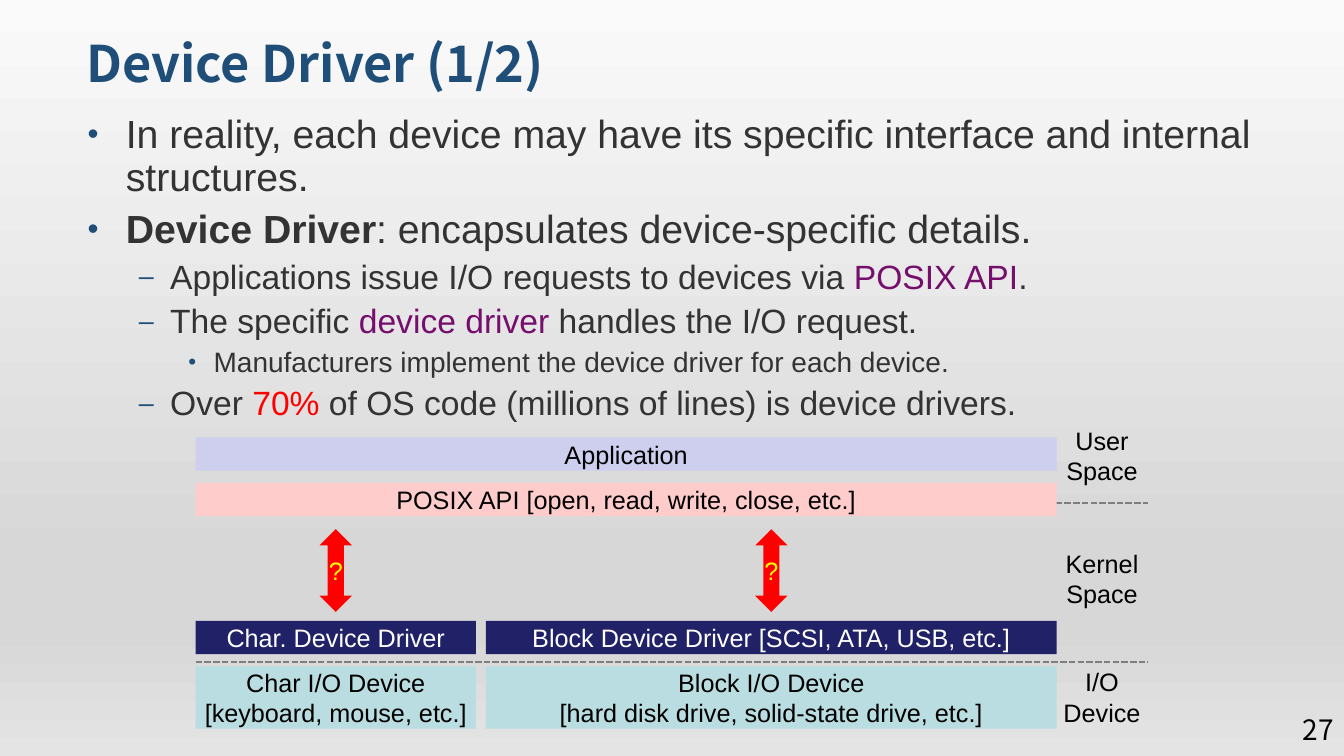
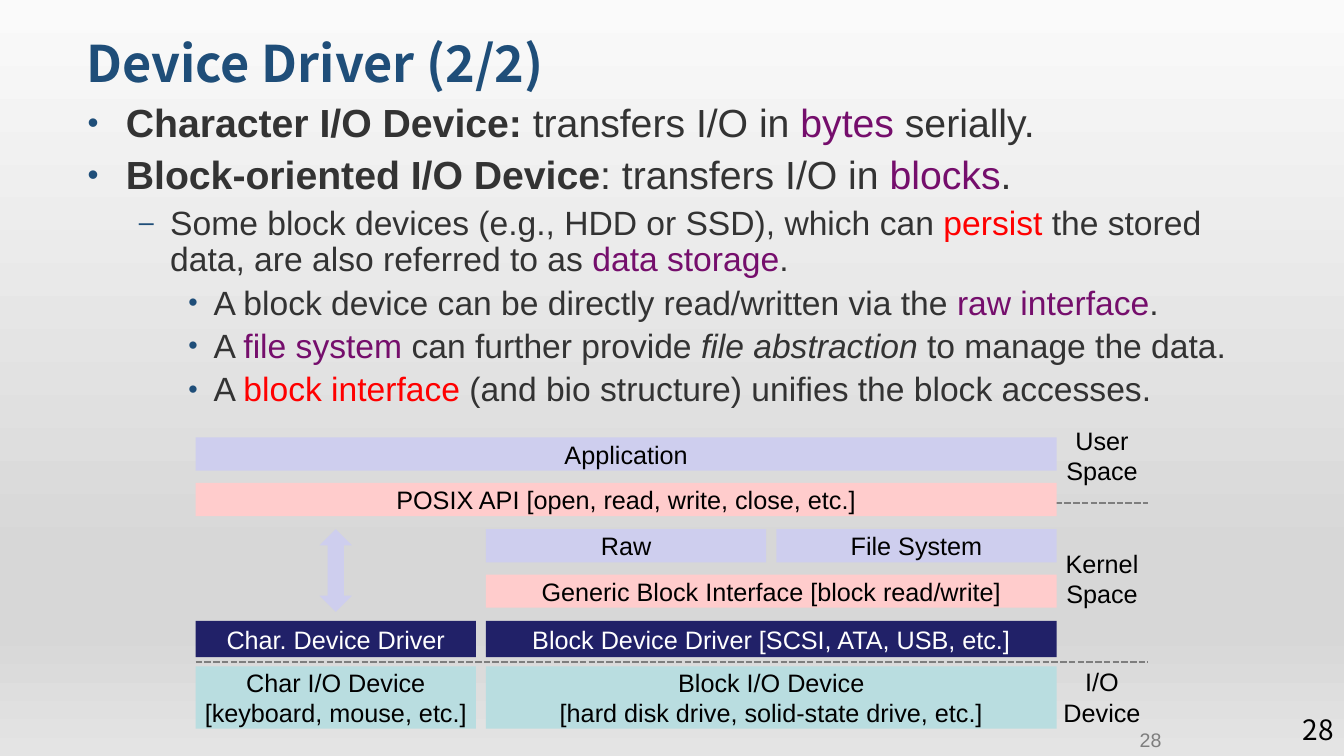
from lxml import etree
from pptx import Presentation
from pptx.dml.color import RGBColor
from pptx.enum.dml import MSO_LINE
from pptx.enum.shapes import MSO_CONNECTOR, MSO_SHAPE
from pptx.enum.text import MSO_ANCHOR, PP_ALIGN
from pptx.oxml.ns import qn
from pptx.util import Inches, Pt

RECT, ARROW = MSO_SHAPE.RECTANGLE, MSO_SHAPE.UP_DOWN_ARROW
STRAIGHT, DASHED = MSO_CONNECTOR.STRAIGHT, MSO_LINE.SQUARE_DOT
LEFT, CENTER, RIGHT = PP_ALIGN.LEFT, PP_ALIGN.CENTER, PP_ALIGN.RIGHT
MIDDLE, BOTTOM = MSO_ANCHOR.MIDDLE, MSO_ANCHOR.BOTTOM

COLORS = {
    "title": "1F4E79", "body": "333333", "term": "750E6C", "alert": "FF0000",
    "black": "000000", "white": "FFFFFF", "yellow": "FFFF00", "gray": "7E7E7E",
    "lilac": "CECEEE", "pink": "FFCCCC", "navy": "212168", "teal": "B9DDE0",
}
BACKGROUND = [(0, "FAFAFA"), (74, "D7D7D7"), (83, "D7D7D7"), (100, "E4E4E4")]
BODY_FONT, TITLE_FONT = "Arial", "Noto Sans CJK TC"

# Run styles and bullet levels of the body text
STYLES = {
    "plain": {},
    "bold": {"bold": True},
    "italic": {"italic": True},
    "term": {"color": "term"},
    "alert": {"color": "alert"},
}
LEVELS = [
    {"char": "•", "indent": 0.39, "hang": 0.38, "before": 7},
    {"char": "–", "indent": 0.83, "hang": 0.31, "before": 6},
    {"char": "•", "indent": 1.26, "hang": 0.25, "before": 5},
]

# Diagram grid: three equal columns, six rows
COL_LEFT, COL_WIDTH, COL_GAP = 1.94, 2.78, 0.1
ROWS = [4.34, 4.79, 5.25, 5.7, 6.16, 6.61]
ROW_HEIGHT, DEVICE_HEIGHT = 0.33, 0.62

# Blocks: row, first column, columns spanned, text, fill, text colour, height
SHARED_BLOCKS = [
    (0, 0, 3, "Application", "lilac", "black", ROW_HEIGHT),
    (1, 0, 3, "POSIX API [open, read, write, close, etc.]", "pink", "black", ROW_HEIGHT),
    (5, 0, 1, "Char I/O Device\n[keyboard, mouse, etc.]", "teal", "black", DEVICE_HEIGHT),
    (5, 1, 2, "Block I/O Device\n[hard disk drive, solid-state drive, etc.]", "teal",
     "black", DEVICE_HEIGHT),
]
DRIVERS = [(0, 1, "Char. Device Driver"),
           (1, 2, "Block Device Driver [SCSI, ATA, USB, etc.]")]
SIDE_LABELS = [(4.2, "User\nSpace"), (5.42, "Kernel\nSpace"), (6.6, "I/O\nDevice")]
DASHED_LINES = [(1.94, 6.57), (10.47, 4.99)]
DASHED_END = 11.39

SLIDES = [
    {
        "title": "Device Driver (1/2)", "number": "27", "body_top": 1.09,
        "sizes": [28, 24, 20], "driver_height": 0.33,
        "body": [
            (0, [("In reality, each device may have its specific interface "
                  "and internal structures.", "plain")]),
            (0, [("Device Driver", "bold"),
                 (": encapsulates device-specific details.", "plain")]),
            (1, [("Applications issue I/O requests to devices via ", "plain"),
                 ("POSIX API", "term"), (".", "plain")]),
            (1, [("The specific ", "plain"), ("device driver", "term"),
                 (" handles the I/O request.", "plain")]),
            (2, [("Manufacturers implement the device driver for each device.", "plain")]),
            (1, [("Over ", "plain"), ("70%", "alert"),
                 (" of OS code (millions of lines) is device drivers.", "plain")]),
        ],
        "blocks": [],
        "arrows": [(0, 1, "?", "alert"), (1, 2, "?", "alert")],
        "footnotes": [],
    },
    {
        "title": "Device Driver (2/2)", "number": "28", "body_top": 0.98,
        "sizes": [28, 24, 24], "driver_height": 0.36,
        "body": [
            (0, [("Character I/O Device:", "bold"), (" transfers I/O in ", "plain"),
                 ("bytes", "term"), (" serially.", "plain")]),
            (0, [("Block-oriented I/O Device", "bold"), (": transfers I/O in ", "plain"),
                 ("blocks", "term"), (".", "plain")]),
            (1, [("Some block devices (e.g., HDD or SSD), which can ", "plain"),
                 ("persist", "alert"),
                 (" the stored data, are also referred to as ", "plain"),
                 ("data storage", "term"), (".", "plain")]),
            (2, [("A block device can be directly read/written via the ", "plain"),
                 ("raw interface", "term"), (".", "plain")]),
            (2, [("A ", "plain"), ("file system", "term"),
                 (" can further provide ", "plain"), ("file abstraction", "italic"),
                 (" to manage the data.", "plain")]),
            (2, [("A ", "plain"), ("block interface", "alert"),
                 (" (and bio structure) unifies the block accesses.", "plain")]),
        ],
        "blocks": [
            (2, 1, 1, "Raw", "lilac", "black", ROW_HEIGHT),
            (2, 2, 1, "File System", "lilac", "black", ROW_HEIGHT),
            (3, 1, 2, "Generic Block Interface [block read/write]", "pink", "black",
             ROW_HEIGHT),
        ],
        "arrows": [(0, 1, "", "lilac")],
        "footnotes": ["28"],
    },
]


def rgb(name):
    return RGBColor.from_string(COLORS[name])


def add_box(s, at, text, color="black", size=18, font=BODY_FONT, align=CENTER,
            anchor=MIDDLE, bold=False, fill=None, kind=RECT, inset=0, wrap=True):
    """Add a filled shape, or a text box when there is no fill, one paragraph per line."""
    at = [Inches(v) for v in at]
    if fill:
        sp = s.shapes.add_shape(kind, *at)
        sp.shadow.inherit = False
        sp.fill.solid()
        sp.fill.fore_color.rgb = rgb(fill)
        sp.line.fill.background()
    else:
        sp = s.shapes.add_textbox(*at)
    tf = sp.text_frame
    frame = {"word_wrap": wrap, "vertical_anchor": anchor,
             "margin_left": Inches(inset), "margin_right": Inches(inset),
             "margin_top": Inches(inset / 2), "margin_bottom": Inches(inset / 2)}
    for name, value in frame.items():
        setattr(tf, name, value)
    tf.text = text
    for p in tf.paragraphs:
        p.alignment = align
        for r in p.runs:
            for name, value in {"name": font, "size": Pt(size), "bold": bold}.items():
                setattr(r.font, name, value)
            r.font.color.rgb = rgb(color)
    return sp


prs = Presentation()
prs.slide_width, prs.slide_height = Inches(13.33), Inches(7.5)

# Gradient background, set once on the master
master = prs.slide_master
master.background.fill.gradient()
master.background.fill.gradient_angle = 270
stops = next(master.element.iter(qn("p:bg"))).find(".//" + qn("a:gsLst"))
for stop in list(stops):
    stops.remove(stop)
for position, color in BACKGROUND:
    stop = etree.SubElement(stops, qn("a:gs"), pos=str(position * 1000))
    etree.SubElement(stop, qn("a:srgbClr"), val=color)

for content in SLIDES:
    s = prs.slides.add_slide(prs.slide_layouts[6])
    title = add_box(s, (0.76, 0.21, 11.31, 0.77), content["title"], "title", 36,
                    TITLE_FONT, LEFT, BOTTOM, bold=True, inset=0.1)
    title.text_frame.paragraphs[0].line_spacing = 0.9

    # Bulleted body
    tf = s.shapes.add_textbox(Inches(0.76), Inches(content["body_top"]),
                              Inches(11.95), Inches(6.1)).text_frame
    tf.word_wrap = True
    for i, (depth, runs) in enumerate(content["body"]):
        p = tf.add_paragraph() if i else tf.paragraphs[0]
        level = LEVELS[depth]
        p.level = depth
        p.line_spacing = 0.9
        p.space_before = Pt(level["before"])
        pPr = p._p.get_or_add_pPr()
        pPr.set("marL", str(Inches(level["indent"])))
        pPr.set("indent", str(-Inches(level["hang"])))
        bullet_color = etree.SubElement(pPr, qn("a:buClr"))
        etree.SubElement(bullet_color, qn("a:srgbClr"), val=COLORS["title"])
        etree.SubElement(pPr, qn("a:buSzPct"), val="80000")
        etree.SubElement(pPr, qn("a:buFont"), typeface=BODY_FONT)
        etree.SubElement(pPr, qn("a:buChar"), char=level["char"])
        for text, style in runs:
            r = p.add_run()
            r.text = text
            look = {"name": BODY_FONT, "size": Pt(content["sizes"][depth]),
                    "color": "body", **STYLES[style]}
            r.font.color.rgb = rgb(look.pop("color"))
            for name, value in look.items():
                setattr(r.font, name, value)

    add_box(s, (12.08, 7.14, 1.25, 0.2), content["number"], size=20, font=TITLE_FONT,
            align=RIGHT, inset=0.1)

    # Layer diagram
    for left, top in DASHED_LINES:
        line = s.shapes.add_connector(STRAIGHT, Inches(left), Inches(top),
                                      Inches(DASHED_END), Inches(top))
        line.line.color.rgb = rgb("gray")
        line.line.width = Pt(1.56)
        line.line.dash_style = DASHED
        etree.SubElement(line._element.spPr, qn("a:effectLst"))

    drivers = [(4, col, span, text, "navy", "white", content["driver_height"])
               for col, span, text in DRIVERS]
    for row, col, span, text, fill, color, height in SHARED_BLOCKS + drivers + content["blocks"]:
        left = COL_LEFT + col * (COL_WIDTH + COL_GAP)
        width = span * COL_WIDTH + (span - 1) * COL_GAP
        add_box(s, (left, ROWS[row], width, height), text, color, fill=fill)

    for col, span, text, fill in content["arrows"]:
        middle = (COL_LEFT + col * (COL_WIDTH + COL_GAP)
                  + (span * COL_WIDTH + (span - 1) * COL_GAP) / 2)
        add_box(s, (middle - 0.16, ROWS[2], 0.32, 0.82), text, "yellow", fill=fill,
                kind=ARROW, wrap=False)

    for top, text in SIDE_LABELS:
        add_box(s, (10.53, top, 0.8, 0.63), text)

    for text in content["footnotes"]:
        add_box(s, (11.02, 7.22, 0.5, 0.23), text, "gray", 14, align=RIGHT)

prs.save("out.pptx")
